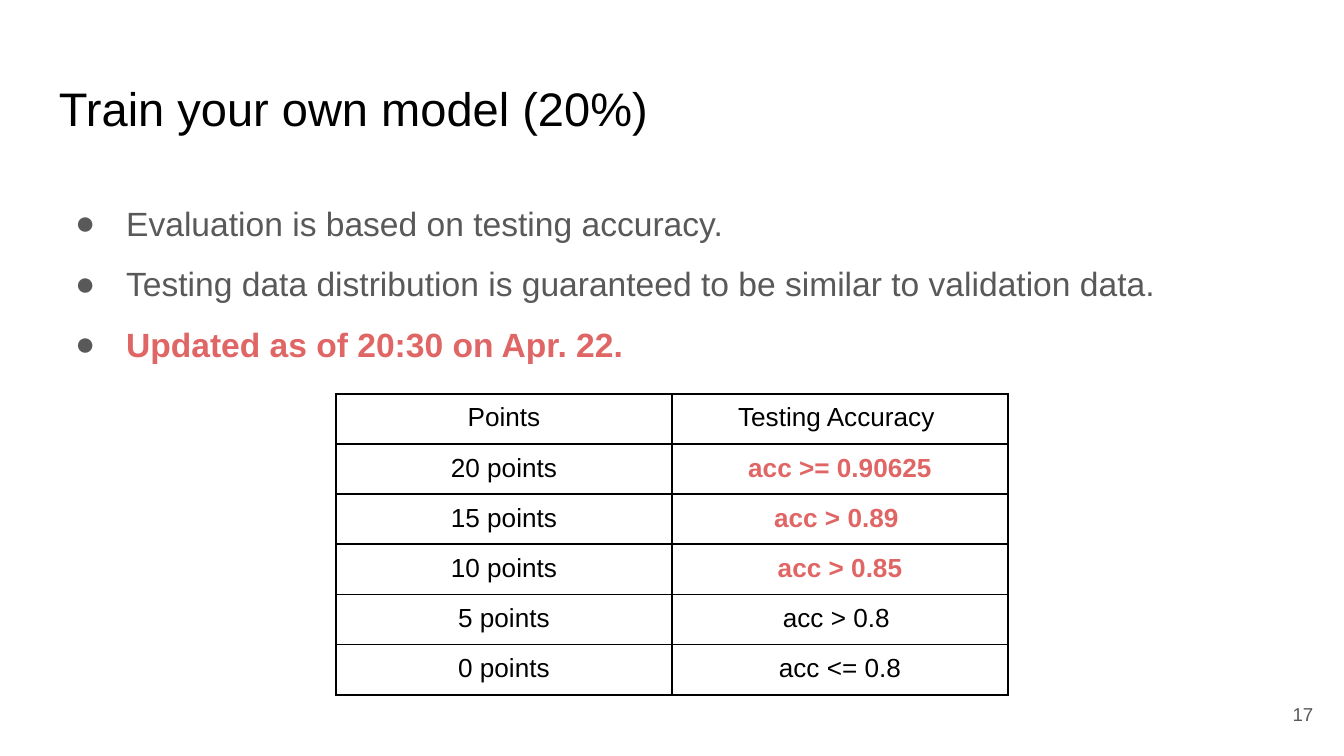
"""Build the slide that sets out the grading of the self-trained model."""
from lxml import etree
from pptx import Presentation, util as u
from pptx.dml.color import RGBColor
from pptx.enum import text
from pptx.oxml import ns

BLACK, GREY, RED = "000000", "595959", "E06666"
TITLE = "Train your own model (20%)"
BULLETS = [
    ("Evaluation is based on testing accuracy.", False),
    ("Testing data distribution is guaranteed to be similar to validation data.", False),
    ("Updated as of 20:30 on Apr. 22.", True),
]
GRADES = [
    ("Points", "Testing Accuracy ", False),
    ("20 points", "acc >= 0.90625", True),
    ("15 points", "acc > 0.89 ", True),
    ("10 points", "acc > 0.85", True),
    ("5 points", "acc > 0.8 ", False),
    ("0 points", "acc <= 0.8", False),
]
PAGE_NUMBER = "17"
SLIDE_WIDTH = u.Inches(10)
SLIDE_HEIGHT = SLIDE_WIDTH * 9 // 16
COLUMN_WIDTH, ROW_HEIGHT = 2.5, 0.37
MARGINS = ("margin_left", "margin_top", "margin_right", "margin_bottom")


def rgb(value):
    return RGBColor.from_string(value)


def apply(target, values):
    for name, value in values.items():
        setattr(target, name, value)


def add_element(parent, tag, **attributes):
    return etree.SubElement(parent, ns.qn(tag), attributes)


def write(paragraph, content, size, color, bold=False, **layout):
    apply(paragraph, layout)
    run = paragraph.add_run()
    run.text = content
    apply(run.font, {"name": "Arial", "size": u.Pt(size), "bold": bold})
    run.font.color.rgb = rgb(color)


def add_text_frame(slide, box, anchor=text.MSO_ANCHOR.TOP):
    frame = slide.shapes.add_textbox(*map(u.Inches, box)).text_frame
    apply(frame, dict.fromkeys(MARGINS, u.Inches(0.1)))
    apply(frame, {"word_wrap": True, "vertical_anchor": anchor})
    return frame


def add_bullet(paragraph):
    properties = paragraph._p.get_or_add_pPr()
    properties.set("marL", str(u.Inches(0.5)))
    properties.set("indent", str(u.Inches(-0.38)))
    add_element(add_element(properties, "a:buClr"), "a:srgbClr", val=GREY)
    add_element(properties, "a:buFont", typeface="Arial")
    add_element(properties, "a:buChar", char="●")


def add_borders(cell):
    properties = cell._tc.get_or_add_tcPr()
    for side in ("a:lnL", "a:lnR", "a:lnT", "a:lnB"):
        line = add_element(properties, side, w=str(u.Pt(1)))
        add_element(add_element(line, "a:solidFill"), "a:srgbClr", val=BLACK)


def add_grades(slide):
    box = (2.5, 2.93, 2 * COLUMN_WIDTH, len(GRADES) * ROW_HEIGHT)
    table = slide.shapes.add_table(len(GRADES), 2, *map(u.Inches, box)).table
    apply(table, {"first_row": False, "horz_banding": False})
    for row, (points, accuracy, updated) in enumerate(GRADES):
        for column, (content, marked) in enumerate([(points, False), (accuracy, updated)]):
            cell = table.cell(row, column)
            apply(cell, dict.fromkeys(MARGINS, u.Inches(0.07)))
            add_borders(cell)
            cell.fill.background()
            write(cell.text_frame.paragraphs[0], content, 14, RED if marked else BLACK,
                  marked, alignment=text.PP_ALIGN.CENTER)


def main():
    presentation = Presentation()
    apply(presentation, {"slide_width": SLIDE_WIDTH, "slide_height": SLIDE_HEIGHT})
    slide = presentation.slides.add_slide(presentation.slide_layouts[6])

    title = add_text_frame(slide, (0.34, 0.49, 9.32, 0.63))
    write(title.paragraphs[0], TITLE, 25.2, BLACK)

    body = add_text_frame(slide, (0.34, 1.26, 9.32, 3.74))
    for index, (content, updated) in enumerate(BULLETS):
        paragraph = body.add_paragraph() if index else body.paragraphs[0]
        write(paragraph, content, 18, RED if updated else GREY, updated, line_spacing=1.5)
        add_bullet(paragraph)

    number = add_text_frame(slide, (9.27, 5.1, 0.6, 0.43), text.MSO_ANCHOR.MIDDLE)
    write(number.paragraphs[0], PAGE_NUMBER, 10, GREY, alignment=text.PP_ALIGN.RIGHT)

    add_grades(slide)
    presentation.save("out.pptx")


if __name__ == "__main__":
    main()
